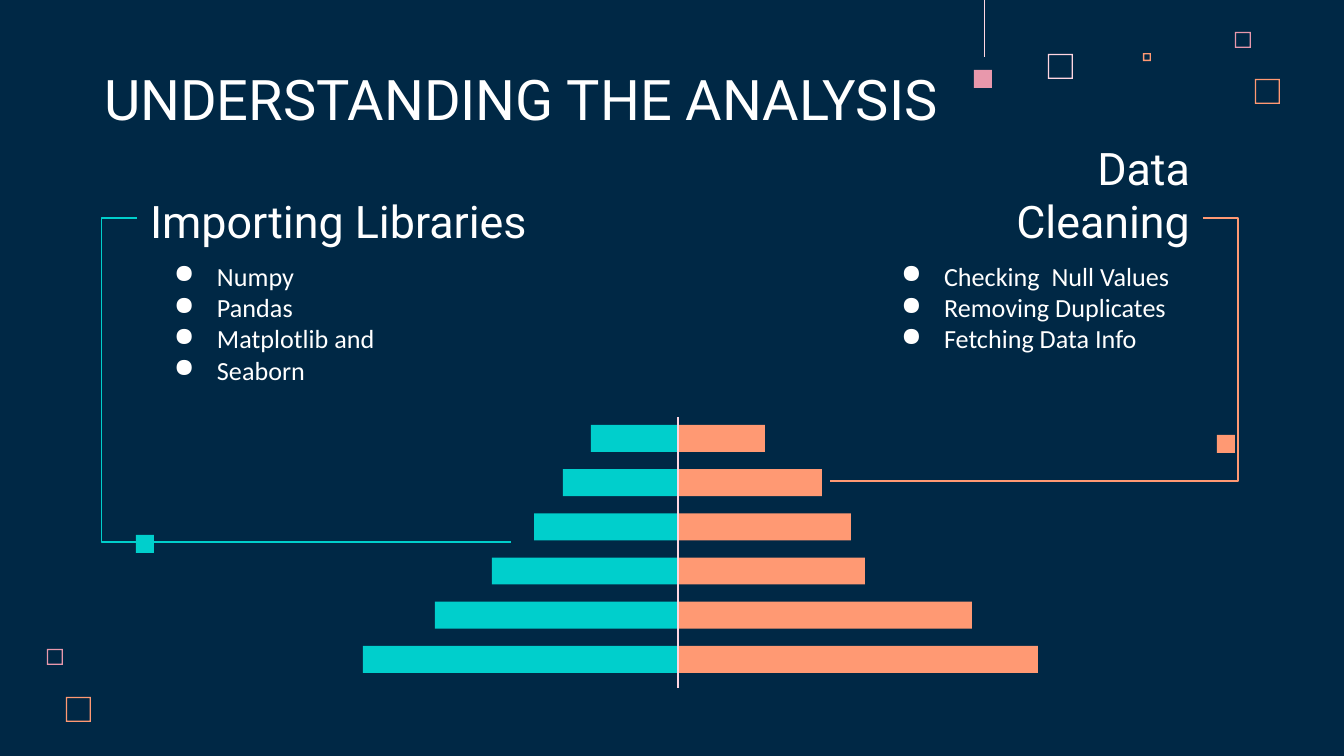
from lxml import etree
from pptx import Presentation
from pptx.dml.color import RGBColor
from pptx.enum.shapes import MSO_CONNECTOR, MSO_SHAPE
from pptx.enum.text import MSO_ANCHOR, PP_ALIGN
from pptx.oxml.ns import qn
from pptx.util import Pt

SCALE = 914400 / 134.4

NAVY = RGBColor(0x00, 0x28, 0x45)
WHITE = RGBColor(0xFF, 0xFF, 0xFF)
BLUSH = RGBColor(0xFF, 0xD6, 0xE1)
PINK = RGBColor(0xE8, 0x98, 0xAC)
CORAL = RGBColor(0xFF, 0x99, 0x73)
TEAL = RGBColor(0x00, 0xCF, 0xCC)

RECT = MSO_SHAPE.RECTANGLE
FRAME = MSO_SHAPE.FRAME
STRAIGHT = MSO_CONNECTOR.STRAIGHT
ELBOW = MSO_CONNECTOR.ELBOW
TOP = MSO_ANCHOR.TOP
BOTTOM = MSO_ANCHOR.BOTTOM
LEFT = PP_ALIGN.LEFT
RIGHT = PP_ALIGN.RIGHT

FRAMES = [
    (1048, 54, 25, BLUSH),
    (1235, 32, 16, PINK),
    (1143, 53, 8, CORAL),
    (1255, 79, 25, CORAL),
    (47, 649, 16, PINK),
    (66, 697, 25, CORAL),
]
DOTS = [(974, 70, PINK), (136, 535, TEAL), (1217, 435, CORAL)]
BARS = [(87, 87), (115, 144), (144, 173), (186, 187), (243, 294), (315, 360)]
AXIS = 678


def px(n):
    return round(n * SCALE)


def block(slide, kind, x, y, w, h, color):
    shape = slide.shapes.add_shape(kind, px(x), px(y), px(w), px(h))
    shape.shadow.inherit = False
    shape.fill.solid()
    shape.fill.fore_color.rgb = color
    shape.line.fill.background()
    return shape


def frame(slide, x, y, size, color):
    shape = block(slide, FRAME, x, y, size, size, color)
    shape.adjustments[0] = 1.3 / size


def line(slide, kind, x1, y1, x2, y2, color, width=0.75):
    link = slide.shapes.add_connector(kind, px(x1), px(y1), px(x2), px(y2))
    link.line.color.rgb = color
    link.line.width = Pt(width)
    etree.SubElement(link._element.spPr, qn("a:effectLst"))
    return link


def bracket(slide, x1, y1, x2, y2, color):
    link = line(slide, ELBOW, x1, y1, x2, y2, color)
    geom = link._element.spPr.find(qn("a:prstGeom"))
    guides = geom.find(qn("a:avLst"))
    if guides is None:
        guides = etree.SubElement(geom, qn("a:avLst"))
    etree.SubElement(guides, qn("a:gd"), name="adj1", fmla="val -9400")


def bullet(para):
    props = para._p.get_or_add_pPr()
    props.set("marL", str(px(67)))
    props.set("indent", str(-px(43)))
    tint = etree.SubElement(props, qn("a:buClr"))
    etree.SubElement(tint, qn("a:srgbClr"), val=str(WHITE))
    etree.SubElement(props, qn("a:buChar"), char="●")


def text(slide, x, y, w, h, lines, face, size, anchor=BOTTOM, align=LEFT, listed=False):
    box = slide.shapes.add_textbox(px(x), px(y), px(w), px(h)).text_frame
    box.word_wrap = True
    box.vertical_anchor = anchor
    box.margin_left = box.margin_right = px(13)
    box.margin_top = box.margin_bottom = px(13)
    box.text = "\n".join(lines)
    for para in box.paragraphs:
        if listed:
            bullet(para)
        para.alignment = align
        para.font.name = face
        para.font.size = Pt(size)
        para.font.color.rgb = WHITE


def heading(slide, x, y, w, words, size, align=LEFT):
    text(slide, x, y, w, 85, [words], "Roboto", size, align=align)


def items(slide, x, w, lines):
    text(slide, x, 247, w, 164, lines, "Calibri", 14, anchor=TOP, listed=True)


def pyramid(slide):
    for row, (left, right) in enumerate(BARS):
        y = 425 + row * 44.2
        block(slide, RECT, AXIS, y, right, 27, CORAL)
        block(slide, RECT, AXIS - left, y, left, 27, TEAL)
    line(slide, STRAIGHT, AXIS, 417, AXIS, 688, BLUSH)


def main():
    deck = Presentation()
    deck.slide_width, deck.slide_height = px(1344), px(756)
    slide = deck.slides.add_slide(deck.slide_layouts[6])
    slide.background.fill.solid()
    slide.background.fill.fore_color.rgb = NAVY

    for spot in FRAMES:
        frame(slide, *spot)
    line(slide, STRAIGHT, 984, 0, 984, 57, BLUSH, 0.5)

    heading(slide, 91, 60, 904, "UNDERSTANDING THE ANALYSIS", 30)
    heading(slide, 137, 176, 446, "Importing Libraries", 24)
    heading(slide, 912, 176, 291, "Data Cleaning", 24, RIGHT)
    items(slide, 137, 386, ["Numpy", "Pandas", "Matplotlib and", "Seaborn"])
    items(slide, 864, 371, ["Checking  Null Values", "Removing Duplicates", "Fetching Data Info"])

    pyramid(slide)
    bracket(slide, 137, 218, 511, 542, TEAL)
    bracket(slide, 1203, 218, 830, 481, CORAL)
    for x, y, color in DOTS:
        block(slide, RECT, x, y, 18, 18, color)

    deck.save("out.pptx")


if __name__ == "__main__":
    main()
